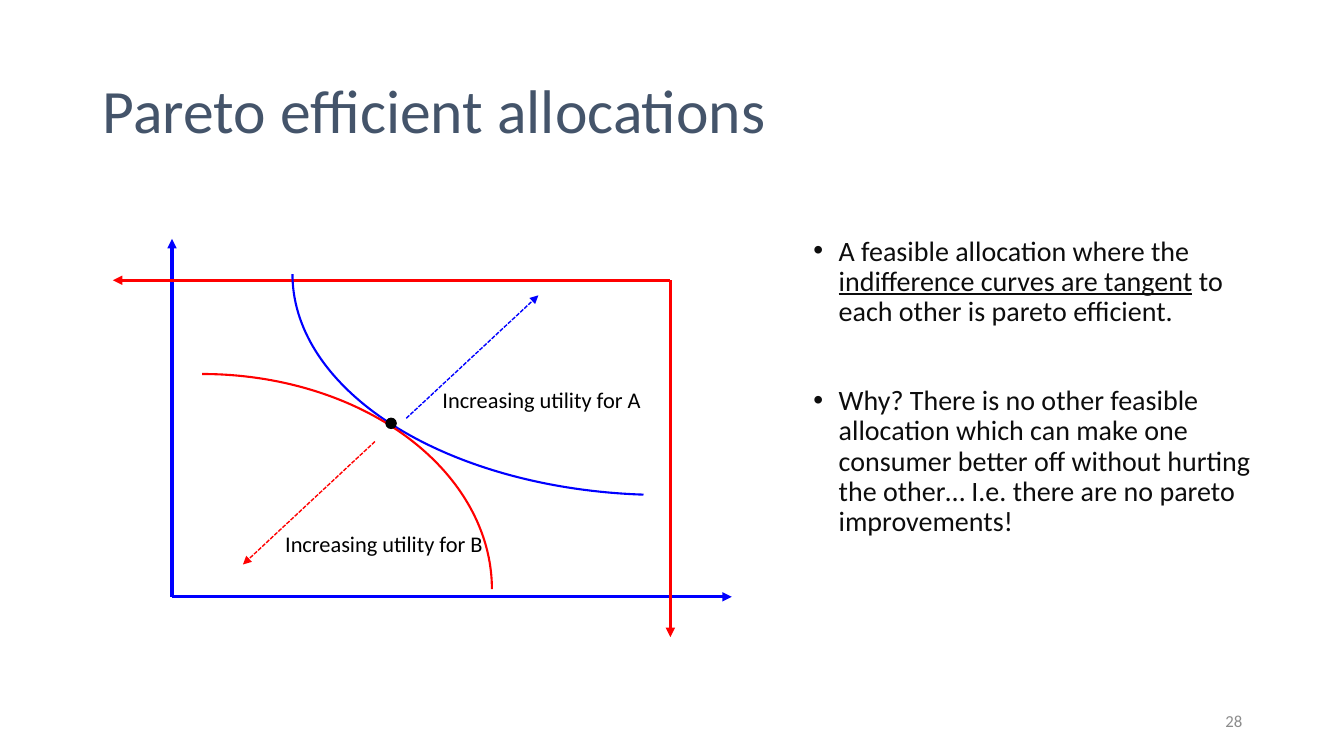
from lxml import etree
from pptx import Presentation, util as u
from pptx.dml.color import RGBColor
from pptx.enum import dml, shapes, text
from pptx.oxml import ns

WIDTH, HEIGHT = u.Inches(13.33), u.Inches(7.5)
FONT = "Calibri"
CONSUMER_A, CONSUMER_B, BLACK = "0000FF", "FF0000", "000000"

# Points on the slide, in percent of its width and height
ORIGIN_A, ORIGIN_B = (12.8, 78.95), (49.88, 37.07)
TANGENCY = (29.1, 56)


def color(hex_code):
    return RGBColor.from_string(hex_code)


def place(*shares):
    """Turn alternating width and height percentages into lengths."""
    return [int(share * side / 100)
            for share, side in zip(shares, (WIDTH, HEIGHT) * 2)]


def add_run(paragraph, words, size, hex_code, underline=None):
    run = paragraph.add_run()
    run.text = words
    run.font.name, run.font.size = FONT, u.Pt(size)
    run.font.color.rgb = color(hex_code)
    run.font.underline = underline


def add_text(slide, box, words, size, hex_code, wrap=True,
             align=text.PP_ALIGN.LEFT, anchor=text.MSO_ANCHOR.TOP):
    frame = slide.shapes.add_textbox(*place(*box)).text_frame
    frame.word_wrap, frame.vertical_anchor = wrap, anchor
    frame.paragraphs[0].alignment = align
    add_run(frame.paragraphs[0], words, size, hex_code)


def add_title(slide, words):
    title = slide.shapes.title
    title.left, title.top, title.width, title.height = place(6.9, 5.33, 86.27, 19.33)
    title.text_frame.vertical_anchor = text.MSO_ANCHOR.MIDDLE
    paragraph = title.text_frame.paragraphs[0]
    paragraph.alignment, paragraph.line_spacing = text.PP_ALIGN.LEFT, 0.9
    add_run(paragraph, words, 44, "44546A")


def add_bullets(slide, box, points):
    frame = slide.shapes.add_textbox(*place(*box)).text_frame
    frame.word_wrap = True
    for index, point in enumerate(points):
        paragraph = frame.add_paragraph() if index else frame.paragraphs[0]
        paragraph.line_spacing = 0.9
        if index:
            paragraph.space_before = u.Pt(42)
        properties = paragraph._p.get_or_add_pPr()
        properties.set("marL", str(u.Inches(0.25)))
        properties.set("indent", str(-u.Inches(0.25)))
        etree.SubElement(properties, ns.qn("a:buFont"), typeface="Arial")
        etree.SubElement(properties, ns.qn("a:buChar"), char="•")
        for words, underline in point:
            add_run(paragraph, words, 20, "0D0D0D", underline)


def add_arrow(slide, start, tip, hex_code, weight, dash=None):
    arrow = slide.shapes.add_connector(
        shapes.MSO_CONNECTOR.STRAIGHT, *place(*start, *tip))
    arrow.line.color.rgb, arrow.line.width = color(hex_code), u.Pt(weight)
    if dash:
        arrow.line.dash_style = dash
    etree.SubElement(arrow.line._get_or_add_ln(), ns.qn("a:tailEnd"), type="triangle")
    etree.SubElement(arrow._element.spPr, ns.qn("a:effectLst"))


def add_outline(slide, kind, box, hex_code, weight):
    outline = slide.shapes.add_shape(kind, *place(*box))
    outline.shadow.inherit = False
    outline.fill.background()
    outline.line.color.rgb, outline.line.width = color(hex_code), u.Pt(weight)
    return outline


def add_axes(slide, origin, tip_x, tip_y, hex_code):
    x, y = origin
    add_arrow(slide, origin, (x, tip_y), hex_code, 2.25)
    add_arrow(slide, origin, (tip_x, y), hex_code, 2.25)


def add_edgeworth_box(slide):
    # Axes of the two consumers
    add_axes(slide, ORIGIN_A, 54.45, 31.6, CONSUMER_A)
    add_axes(slide, ORIGIN_B, 8.4, 84.27, CONSUMER_B)

    # Indifference curves
    arc = shapes.MSO_SHAPE.ARC
    curve_a = add_outline(slide, arc, (21.76, 7.07, 55.28, 58.4), CONSUMER_A, 1.5)
    curve_a.rotation = 180
    curve_a.adjustments[0] = 165.18
    add_outline(slide, arc, (-6.53, 49.47, 43.13, 56.93), CONSUMER_B, 1.5)

    # Tangency point
    dot_width, dot_height = 0.75, 1.33
    x, y = TANGENCY
    dot = add_outline(slide, shapes.MSO_SHAPE.OVAL,
                      (x - dot_width / 2, y - dot_height / 2, dot_width, dot_height),
                      BLACK, 1)
    dot.fill.solid()
    dot.fill.fore_color.rgb = color(BLACK)

    # Directions of increasing utility
    for consumer, hex_code, start, tip, label in (
            ("A", CONSUMER_A, (30.23, 55.33), (40.06, 39.07), (32.18, 50.4)),
            ("B", CONSUMER_B, (27.9, 58.4), (18.08, 74.67), (20.48, 69.47))):
        add_arrow(slide, start, tip, hex_code, 1, dml.MSO_LINE.SQUARE_DOT)
        add_text(slide, (*label, 16.43, 4.93),
                 f"Increasing utility for {consumer}", 16, BLACK, wrap=False)


def main():
    deck = Presentation()
    deck.slide_width, deck.slide_height = WIDTH, HEIGHT
    slide = deck.slides.add_slide(deck.slide_layouts[5])

    add_title(slide, "Pareto efficient allocations")
    add_bullets(slide, (59.79, 30.67, 35.33, 53.6), [
        [("A feasible allocation where the ", None),
         ("indifference curves are tangent", True),
         (" to each other is pareto efficient.", None)],
        [("Why? There is no other feasible allocation which can make one "
          "consumer better off without hurting the other… I.e. there are no "
          "pareto improvements!", None)],
    ])
    add_edgeworth_box(slide)

    # Slide number
    add_text(slide, (70.67, 92.67, 22.5, 5.33), "28", 12, "8C8C8C",
             align=text.PP_ALIGN.RIGHT, anchor=text.MSO_ANCHOR.MIDDLE)
    deck.save("out.pptx")


if __name__ == "__main__":
    main()
